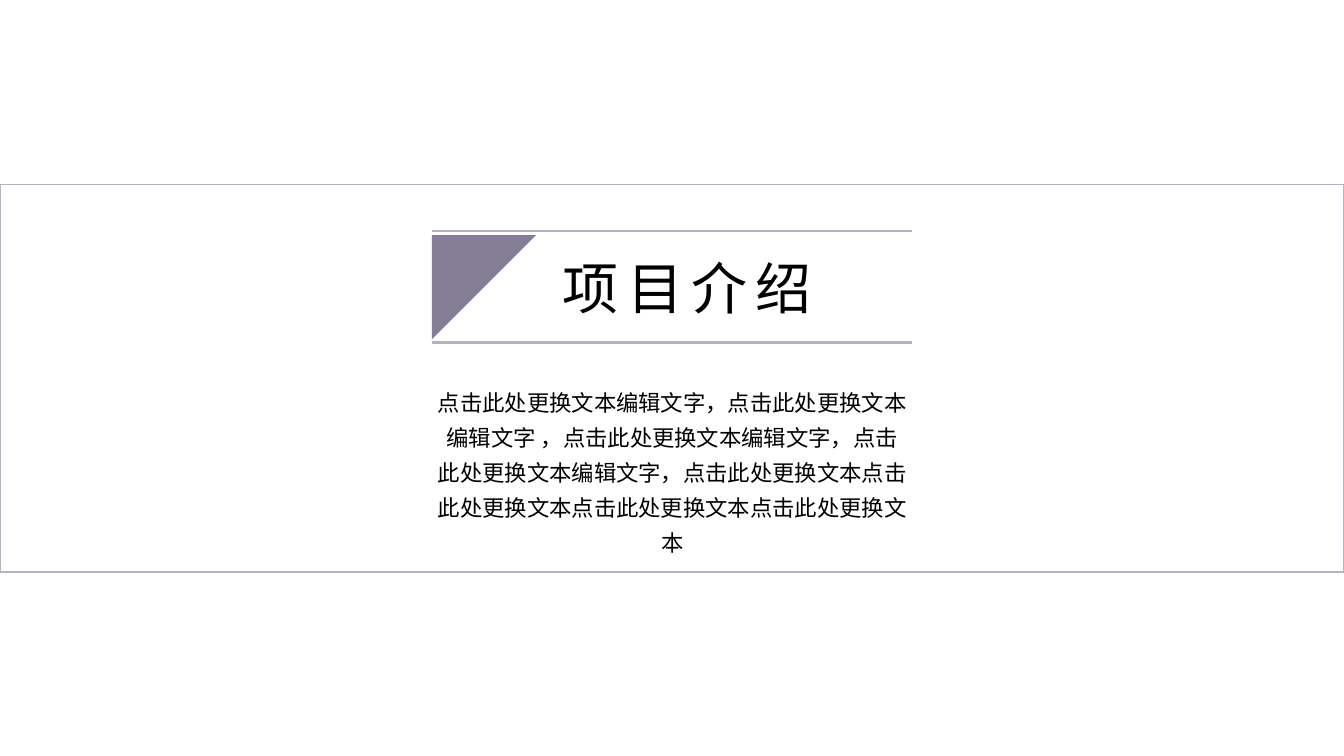
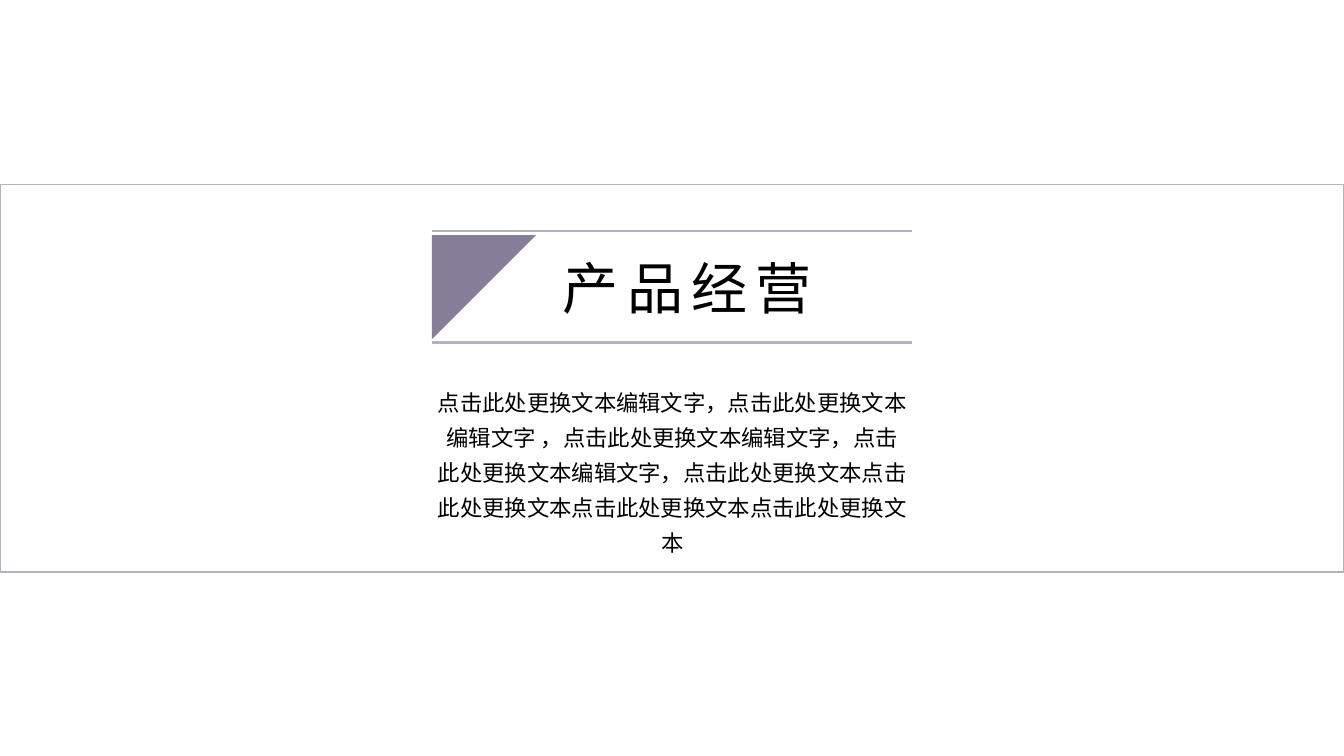
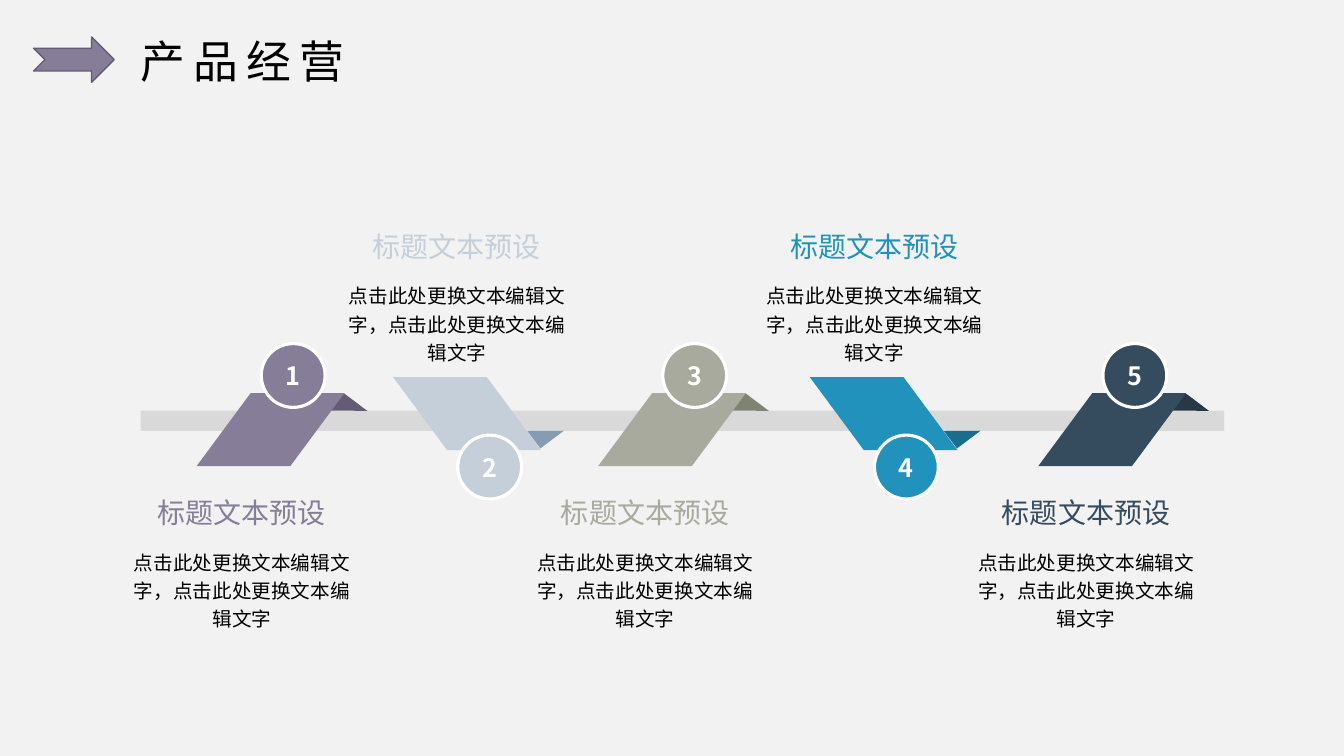
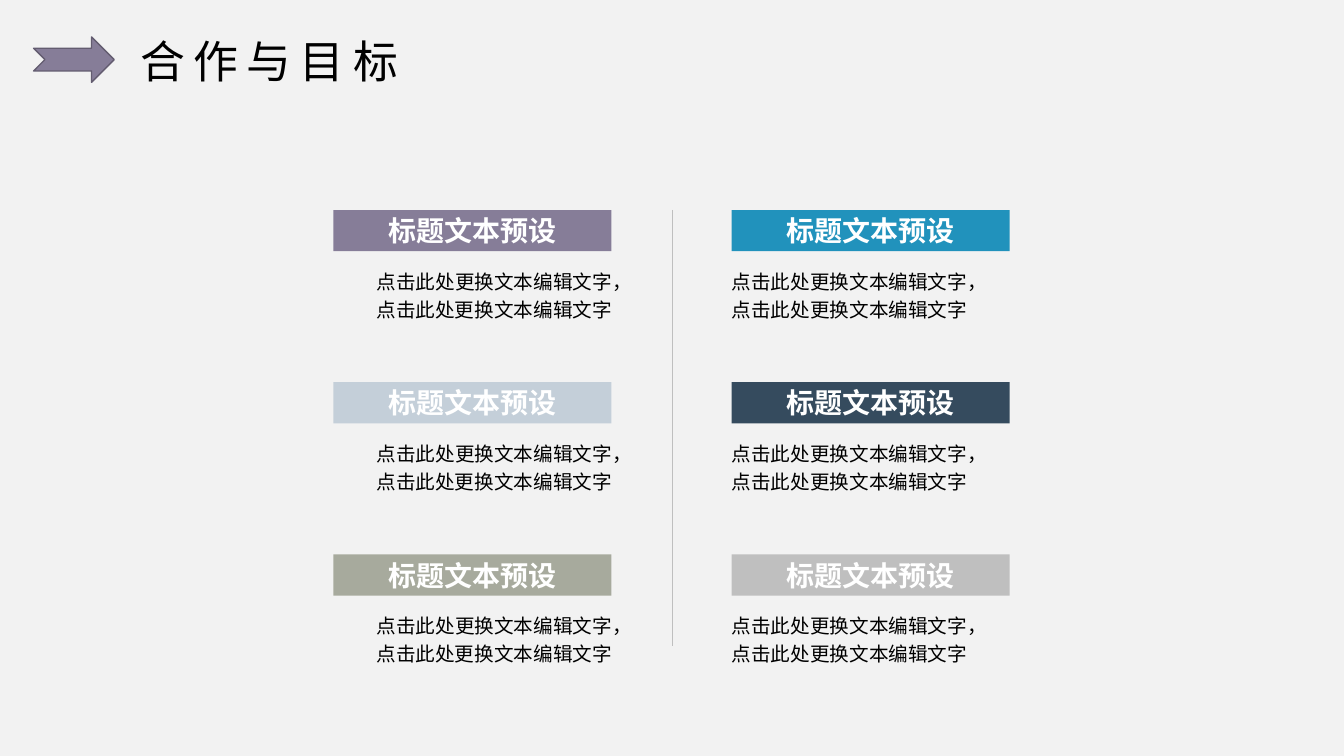
from dataclasses import dataclass
from typing import Optional

from lxml.etree import SubElement
from pptx import Presentation
from pptx.dml.color import RGBColor
from pptx.enum.shapes import MSO_CONNECTOR, MSO_SHAPE
from pptx.enum.text import MSO_ANCHOR, MSO_AUTO_SIZE, PP_ALIGN
from pptx.oxml.ns import qn
from pptx.presentation import Presentation as Deck
from pptx.shapes.autoshape import Shape
from pptx.slide import Slide
from pptx.util import Emu, Inches, Pt

COLUMNS, ROWS = 160, 90
CELL = Inches(1) / 12
FONT = "Noto Sans CJK SC"
COLORS = {
    "white": "FFFFFF", "black": "000000", "page": "F2F2F2",
    "purple": "867D98", "purple_dark": "645C74", "arrow_edge": "635C70",
    "mist": "C4CFD9", "mist_dark": "859CB1",
    "olive": "A7AA9D", "olive_dark": "7F8372",
    "blue": "2192BC", "blue_dark": "196D8D",
    "navy": "354B5E", "navy_dark": "283846",
    "band_edge": "B1B3C1", "rule": "B6B1C1",
    "rail": "D9D9D9", "silver": "BFBFBF",
}
HEADING = "标题文本预设"
SENTENCE = "点击此处更换文本编辑文字"
CAPTION = f"{SENTENCE}，{SENTENCE}"
INTRO = f"{CAPTION} ，{CAPTION}" + "，点击此处更换文本" + "点击此处更换文本" * 3


@dataclass(frozen=True)
class Box:
    col: float
    row: float
    cols: float
    rows: float

    def emu(self) -> tuple[Emu, ...]:
        return tuple(cells(n) for n in (self.col, self.row, self.cols, self.rows))


@dataclass(frozen=True)
class TextStyle:
    size: float
    color: str = "black"
    bold: bool = False
    align: PP_ALIGN = PP_ALIGN.LEFT
    anchor: MSO_ANCHOR = MSO_ANCHOR.TOP
    leading: Optional[float] = None
    tracking: Optional[float] = None
    wrap: bool = True
    insets: tuple[float, float, float, float] = (0.1, 0.05, 0.1, 0.05)


@dataclass(frozen=True)
class Step:
    ribbon_col: float
    caption_col: float
    color: str
    raised: bool


STEPS = (
    Step(23.4, 14.2, "purple", True),
    Step(46.8, 39.8, "mist", False),
    Step(71.2, 62.2, "olive", True),
    Step(96.4, 89.5, "blue", False),
    Step(123.6, 114.7, "navy", True),
)
GOALS = (("purple", "blue"), ("mist", "navy"), ("olive", "silver"))


def cells(count: float) -> Emu:
    return Emu(round(count * CELL))


def rgb(color: str) -> RGBColor:
    return RGBColor.from_string(COLORS[color])


def write(shape: Shape, text: str, style: TextStyle) -> None:
    frame = shape.text_frame
    frame.auto_size = MSO_AUTO_SIZE.NONE
    frame.word_wrap = style.wrap
    frame.vertical_anchor = style.anchor
    (frame.margin_left, frame.margin_top,
     frame.margin_right, frame.margin_bottom) = map(Inches, style.insets)
    frame.text = text
    paragraph = frame.paragraphs[0]
    paragraph.alignment = style.align
    if style.leading:
        paragraph.line_spacing = style.leading
    font = paragraph.font
    font.size, font.bold, font.name = Pt(style.size), style.bold, FONT
    font.color.rgb = rgb(style.color)
    properties = paragraph._p.pPr.find(qn("a:defRPr"))
    if style.tracking:
        properties.set("spc", str(round(style.tracking * 100)))
    SubElement(properties, qn("a:ea")).set("typeface", FONT)


def paint(shape: Shape, fill: str, edge: Optional[str] = None,
          width: float = 1, opacity: int = 100) -> None:
    shape.shadow.inherit = False
    shape.fill.solid()
    shape.fill.fore_color.rgb = rgb(fill)
    if opacity < 100:
        tint = shape.element.spPr.find(qn("a:solidFill"))[0]
        SubElement(tint, qn("a:alpha")).set("val", str(opacity * 1000))
    if edge:
        shape.line.color.rgb = rgb(edge)
        shape.line.width = Pt(width)
    else:
        shape.line.fill.background()


def add_preset(slide: Slide, preset: MSO_SHAPE, box: Box, fill: str,
               edge: Optional[str] = None, width: float = 1, opacity: int = 100,
               flipped: bool = False) -> Shape:
    shape = slide.shapes.add_shape(preset, *box.emu())
    paint(shape, fill, edge, width, opacity)
    if flipped:
        shape.element.spPr.find(qn("a:xfrm")).set("flipV", "1")
    return shape


def add_text(slide: Slide, box: Box, text: str, style: TextStyle) -> None:
    write(slide.shapes.add_textbox(*box.emu()), text, style)


def add_rule(slide: Slide, start: tuple[float, float], end: tuple[float, float],
             color: str, width: float) -> None:
    rule = slide.shapes.add_connector(
        MSO_CONNECTOR.STRAIGHT, *map(cells, (*start, *end)))
    rule.line.color.rgb = rgb(color)
    rule.line.width = Pt(width)
    SubElement(rule.element.find(qn("p:spPr")), qn("a:effectLst"))


def add_slide(deck: Deck, background: str) -> Slide:
    slide = deck.slides.add_slide(deck.slide_layouts[5])
    slide.background.fill.solid()
    slide.background.fill.fore_color.rgb = rgb(background)
    return slide


def place_title(slide: Slide, box: Box, text: str, style: TextStyle) -> None:
    title = slide.shapes.title
    title.left, title.top, title.width, title.height = box.emu()
    write(title, text, style)
    slide.shapes.element.append(title.element)


def add_section(deck: Deck, title: str) -> None:
    slide = add_slide(deck, "white")
    add_preset(slide, MSO_SHAPE.RECTANGLE, Box(0, 19.6, COLUMNS, 51.2),
               "white", opacity=55)
    add_preset(slide, MSO_SHAPE.RECTANGLE, Box(0, 22, COLUMNS, 46.1),
               "white", "band_edge", opacity=80)
    add_text(slide, Box(52, 45.4, 56.1, 22.8), INTRO,
             TextStyle(16, align=PP_ALIGN.CENTER, leading=1.3, insets=(0, 0, 0, 0)))
    plate = Box(51.4, 27.5, 57.2, 13.3)
    for row in (plate.row, plate.row + plate.rows):
        add_rule(slide, (plate.col, row), (plate.col + plate.cols, row), "rule", 2)
    left, top, side = cells(plate.col), cells(28), cells(12.4)
    corner = slide.shapes.build_freeform(left, top)
    corner.add_line_segments([(left + side, top), (left, top + side)])
    paint(corner.convert_to_shape(), "purple")
    place_title(slide, plate, title,
                TextStyle(40, anchor=MSO_ANCHOR.MIDDLE, tracking=6,
                          insets=(1.3, 0, 0, 0)))


def add_content(deck: Deck, title: str) -> Slide:
    slide = add_slide(deck, "page")
    add_preset(slide, MSO_SHAPE.NOTCHED_RIGHT_ARROW, Box(4, 4.4, 9.6, 5.4),
               "purple", "arrow_edge")
    place_title(slide, Box(15.5, 3.4, 47.6, 7.7), title, TextStyle(32, tracking=6))
    return slide


def draw_step(slide: Slide, number: int, step: Step) -> None:
    raised = step.raised
    fold = add_preset(slide, MSO_SHAPE.RIGHT_TRIANGLE,
                      Box(step.ribbon_col + 16.4, 47.6 if raised else 50, 3.5, 2.6),
                      f"{step.color}_dark", flipped=raised)
    fold.rotation = 37 if raised else 323
    ribbon = add_preset(slide, MSO_SHAPE.PARALLELOGRAM,
                        Box(step.ribbon_col, 46.8 if raised else 44.9, 17.6, 8.7),
                        step.color, flipped=not raised)
    ribbon.adjustments[0] = 0.74
    badge = add_preset(slide, MSO_SHAPE.OVAL,
                       Box(step.ribbon_col + 7.7, 40.9 if raised else 51.8, 7.6, 7.6),
                       step.color, "white", 2.25)
    write(badge, str(number),
          TextStyle(18, "white", True, PP_ALIGN.CENTER, MSO_ANCHOR.MIDDLE, wrap=False))
    heading_row = 59.2 if raised else 27.5
    add_text(slide, Box(step.caption_col, heading_row, 29.2, 4.4), HEADING,
             TextStyle(20, step.color, align=PP_ALIGN.CENTER,
                       anchor=MSO_ANCHOR.BOTTOM, wrap=False))
    add_text(slide, Box(step.caption_col, heading_row + 5.2, 29.2, 11.6), CAPTION,
             TextStyle(14, align=PP_ALIGN.CENTER, leading=1.2))


def add_timeline(deck: Deck, title: str) -> None:
    slide = add_content(deck, title)
    add_preset(slide, MSO_SHAPE.RECTANGLE, Box(16.75, 48.9, 129, 2.4), "rail")
    for number, step in enumerate(STEPS, start=1):
        draw_step(slide, number, step)


def add_goals(deck: Deck, title: str) -> None:
    slide = add_content(deck, title)
    add_rule(slide, (COLUMNS / 2, 25), (COLUMNS / 2, 76.9), "silver", 0.5)
    sides = ((39.7, 43.8, PP_ALIGN.RIGHT), (87.1, 87.1, PP_ALIGN.LEFT))
    for index, colors in enumerate(GOALS):
        row = 25 + 20.5 * index
        for color, (heading_col, caption_col, align) in zip(colors, sides):
            heading = add_preset(slide, MSO_SHAPE.RECTANGLE,
                                 Box(heading_col, row, 33.1, 4.9), color)
            write(heading, HEADING,
                  TextStyle(20, "white", True, PP_ALIGN.CENTER,
                            MSO_ANCHOR.MIDDLE, wrap=False))
            add_text(slide, Box(caption_col, row + 5.7, 29.1, 8.4), CAPTION,
                     TextStyle(14, align=align, anchor=MSO_ANCHOR.MIDDLE,
                               leading=1.2, insets=(0, 0, 0, 0)))


def main() -> None:
    deck = Presentation()
    deck.slide_width, deck.slide_height = cells(COLUMNS), cells(ROWS)
    add_section(deck, "项目介绍")
    add_section(deck, "产品经营")
    add_timeline(deck, "产品经营")
    add_goals(deck, "合作与目标")
    deck.save("out.pptx")


if __name__ == "__main__":
    main()
